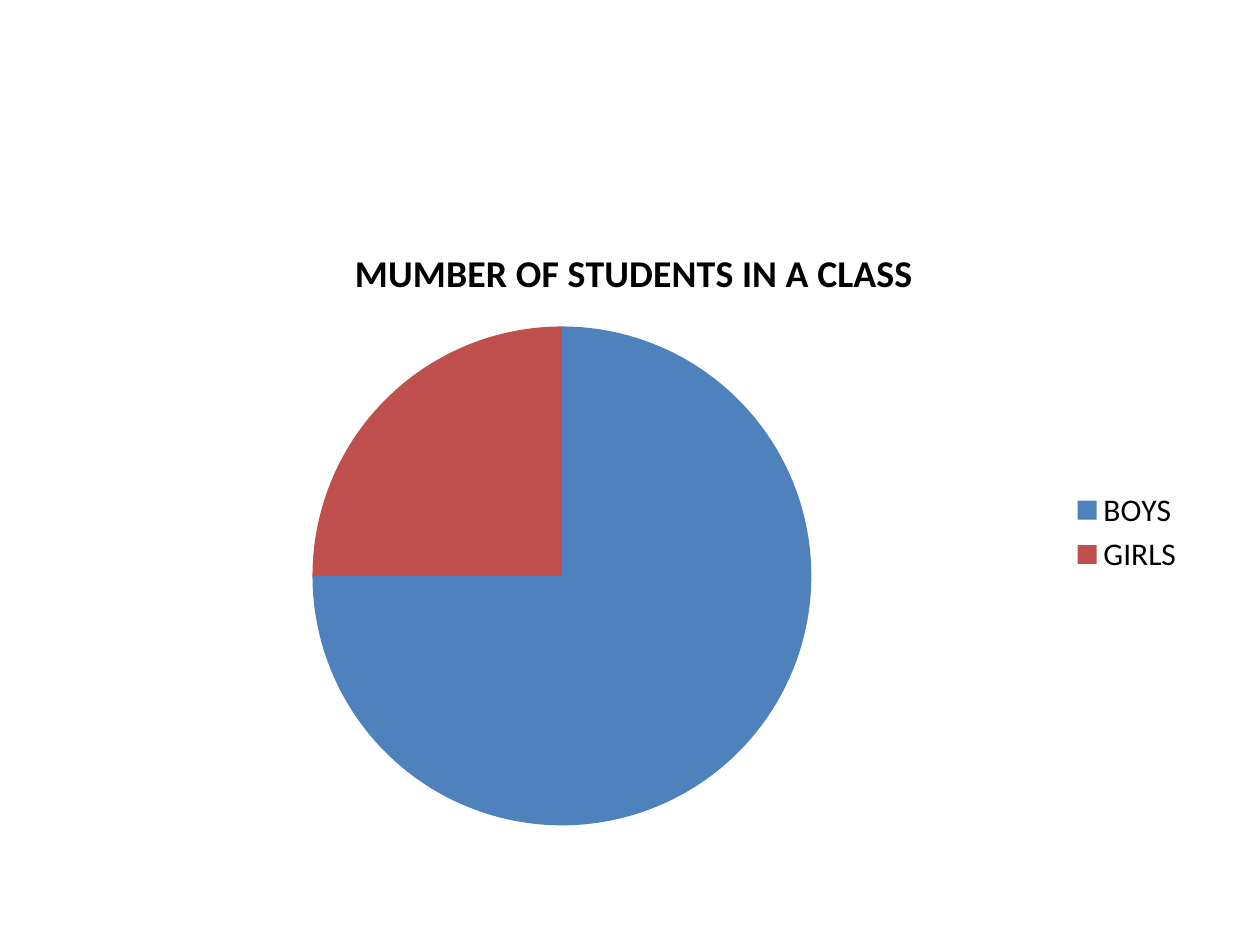
from dataclasses import dataclass

from pptx import Presentation
from pptx.chart.data import CategoryChartData
from pptx.dml.color import RGBColor
from pptx.enum.chart import XL_CHART_TYPE, XL_LEGEND_POSITION
from pptx.oxml import parse_xml
from pptx.oxml.ns import nsdecls, qn
from pptx.util import Inches, Pt


@dataclass(frozen=True)
class Theme:
    font: str = "Calibri"
    text: str = "000000"
    slices: tuple = ("4F81BD", "C0504D")
    title_size: float = 21.6
    legend_size: float = 18


THEME = Theme()
TITLE = " MUMBER OF STUDENTS IN A CLASS"
STUDENTS = {"BOYS": 75, "GIRLS": 25}


def write_text(text_frame, text, *, size, bold=False, color=THEME.text):
    text_frame.text = text
    font = text_frame.paragraphs[0].runs[0].font
    font.name, font.size, font.bold = THEME.font, Pt(size), bold
    font.color.rgb = RGBColor.from_string(color)


def place_plot(chart, **fractions):
    """Fix the plot area at fractions (x, y, w, h) of the chart's size."""
    plot_area = chart.element.find(f".//{qn('c:plotArea')}")
    for layout in plot_area.findall(qn("c:layout")):
        plot_area.remove(layout)
    values = "".join(f'<c:{key} val="{value}"/>' for key, value in fractions.items())
    plot_area.insert(0, parse_xml(
        f'<c:layout {nsdecls("c")}><c:manualLayout><c:layoutTarget val="inner"/>'
        f'<c:xMode val="edge"/><c:yMode val="edge"/>{values}'
        "</c:manualLayout></c:layout>"))


presentation = Presentation()
presentation.slide_width, presentation.slide_height = Inches(10), Inches(7.5)
slide = presentation.slides.add_slide(presentation.slide_layouts[6])

chart_data = CategoryChartData()
chart_data.categories = list(STUDENTS)
chart_data.add_series(TITLE, list(STUDENTS.values()))
chart = slide.shapes.add_chart(
    XL_CHART_TYPE.PIE, Inches(0.5), Inches(1.75), Inches(9), Inches(4.95), chart_data
).chart

chart.font.name = THEME.font
chart.font.size = Pt(THEME.legend_size)
chart.font.color.rgb = RGBColor.from_string(THEME.text)

chart.has_title = True
write_text(chart.chart_title.text_frame, TITLE, size=THEME.title_size, bold=True)
chart.chart_title.element.find(qn("c:overlay")).set("val", "1")

chart.has_legend = True
chart.legend.position = XL_LEGEND_POSITION.RIGHT
chart.legend.include_in_layout = True

place_plot(chart, x=0.22, y=0.17, w=0.44, h=0.8)
pie = chart.plots[0]
pie.vary_by_categories = True
for index, color in enumerate(THEME.slices):
    fill = pie.series[0].points[index].format.fill
    fill.solid()
    fill.fore_color.rgb = RGBColor.from_string(color)

presentation.save("out.pptx")
